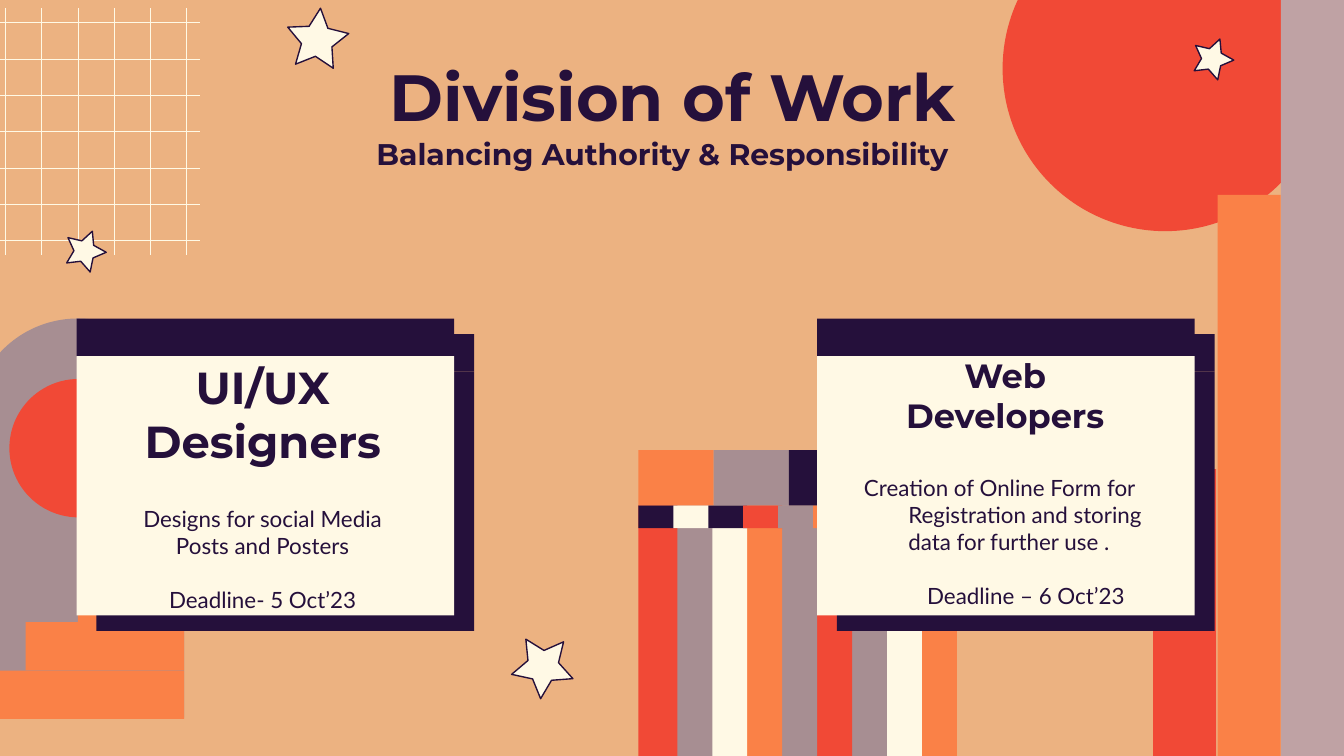
import math
from lxml import etree
from pptx import Presentation
from pptx import util as u
from pptx.dml.color import RGBColor
from pptx.enum import shapes, text
from pptx.oxml.ns import qn

HUE = {"sand": "ECB281", "navy": "25103B", "cream": "FFF9E5", "red": "F14936",
       "orange": "FA8147", "mauve": "A78E92", "rose": "BFA2A4"}
KIND = shapes.MSO_SHAPE
ALIGN = text.PP_ALIGN
ANCHOR = text.MSO_ANCHOR

deck = Presentation()
deck.slide_width, deck.slide_height = u.Inches(10), u.Inches(5.625)
CELL = deck.slide_width / 10  # square grid, ten columns across
slide = deck.slides.add_slide(deck.slide_layouts[5])
slide.background.fill.solid()
slide.background.fill.fore_color.rgb = RGBColor.from_string(HUE["sand"])
art = slide.shapes


def block(x, y, w, h, hue, kind=KIND.RECTANGLE):
    """Add a flat shape without outline; lengths are in grid cells."""
    shape = art.add_shape(kind, *(round(n * CELL) for n in (x, y, w, h)))
    shape.shadow.inherit = False
    shape.fill.solid()
    shape.fill.fore_color.rgb = RGBColor.from_string(HUE[hue])
    shape.line.fill.background()
    return shape


def write(words, x, y, w, h, size=12, font="Lato", bold=False, align=ALIGN.CENTER,
          anchor=ANCHOR.TOP, gap=0, hold=None):
    """Fill a text box, or the given placeholder, with one paragraph per item."""
    box = hold or art.add_textbox(0, 0, 0, 0)
    box.left, box.top, box.width, box.height = (round(n * CELL) for n in (x, y, w, h))
    frame = box.text_frame
    frame.word_wrap = True
    frame.auto_size = text.MSO_AUTO_SIZE.NONE
    frame.vertical_anchor = anchor
    frame.margin_left = frame.margin_right = u.Inches(0.1)
    frame.margin_top = frame.margin_bottom = u.Inches(0.1)
    frame.text = "\n".join(words)
    for i, para in enumerate(frame.paragraphs):
        para.alignment = align
        para.space_before = u.Pt(gap if i else 0)
        face = para.runs[0].font
        face.name, face.size, face.bold = font, u.Pt(size), bold
        face.color.rgb = RGBColor.from_string(HUE["navy"])
    return frame


# Striped columns, with the left stripe on top, then tiles and blocks above
LEFT, TOP, STEP, WIDE = 4.75, 3.76, 0.26, 0.29
bars = ["red", "mauve", "cream", "orange", "mauve", "red", "mauve", "cream", "orange"]
for i, hue in reversed(list(enumerate(bars))):
    block(LEFT + i * STEP, TOP, WIDE, 1.9, hue)
for i, hue in enumerate(["navy", "cream", "navy", "red", "mauve", "orange"]):
    block(LEFT + i * STEP, TOP, WIDE, 0.17, hue)
for i, hue in enumerate(["orange", "mauve", "navy"]):
    block(LEFT + i * 0.56, TOP - 0.41, 0.56, 0.41, hue)

# Sun, arch and stairs
block(7.46, -0.7, 2.42, 2.42, "red", KIND.OVAL)
arch = block(-0.21, 2.37, 1.58, 2.97, "mauve", KIND.ROUND_2_SAME_RECTANGLE)
arch.adjustments[0] = 0.5
block(0.07, 2.82, 1.03, 1.03, "red", KIND.OVAL)
for i in range(4):
    left = 0.97 - i * 0.39
    block(left, 3.91 + i * 0.36, 1.37 - left, 0.36, "orange")

# Towers at the right edge
for x, y, hue in [(9.53, 0, "rose"), (9.06, 1.45, "orange"), (8.58, 3.49, "red")]:
    block(x, y, 0.47, 5.64 - y, hue)

# Fine net in the corner
net = [(0.04 + i * 0.27, 0.06, 0.04 + i * 0.27, 1.9) for i in range(6)]
net += [(-0.33, 0.17 + i * 0.27, 1.49, 0.17 + i * 0.27) for i in range(7)]
for ends in net:
    wire = art.add_connector(shapes.MSO_CONNECTOR.STRAIGHT,
                             *(round(n * CELL) for n in ends))
    wire.line.width = u.Pt(0.36)
    wire.line.color.rgb = RGBColor.from_string(HUE["cream"])
    etree.SubElement(wire._element.spPr, qn("a:effectLst"))

# Stars: centre, radius and angle of the first tip
for x, y, size, turn in [(0.63, 1.87, 0.16, -69), (4.04, 4.96, 0.24, 94),
                         (9.02, 0.44, 0.16, -69), (2.36, 0.3, 0.24, -84)]:
    tips = []
    for i in range(10):
        reach = size / (1 + i % 2)
        angle = math.radians(turn + i * 36)
        tips.append((1000 * (x + reach * math.cos(angle)),
                     1000 * (y + reach * math.sin(angle))))
    path = art.build_freeform(*tips[0], scale=CELL / 1000)
    path.add_line_segments(tips[1:], close=True)
    star = path.convert_to_shape()
    star.shadow.inherit = False
    star.fill.solid()
    star.fill.fore_color.rgb = RGBColor.from_string(HUE["cream"])
    star.line.color.rgb = RGBColor.from_string(HUE["navy"])
    star.line.width = u.Pt(0.75)

# Cards with a hard shadow
for x in (6.08, 0.57):
    for y, h, hue in [(2.37, 0.28, "navy"), (2.65, 1.93, "cream")]:
        card = block(x, y, 2.81, h, hue)
        list_ = card._element.spPr.find(qn("a:effectLst"))
        cast = etree.SubElement(list_, qn("a:outerShdw"), blurRad="0",
                                dist=str(u.Pt(13.5)), dir=str(38 * 60000),
                                algn="bl", rotWithShape="0")
        etree.SubElement(cast, qn("a:srgbClr"), val=HUE["navy"])

# Words
head = dict(font="Montserrat", bold=True)
write(["Division of Work"], 0.79, 0.32, 8.43, 0.63, size=35, hold=art.title, **head)
write(["Balancing Authority & Responsibility"], 1.97, 0.91, 5.92, 0.45, size=16, **head)
write(["UI/UX Designers"], 0.96, 3, 1.99, 0.58, size=24, anchor=ANCHOR.BOTTOM, **head)
write(["Web Developers"], 6.51, 1.96, 1.94, 1.38, size=18, anchor=ANCHOR.BOTTOM, **head)
write(["Designs for social Media Posts and Posters", "Deadline- 5 Oct’23"],
      0.96, 3.66, 1.99, 0.8, gap=14.4)
task = write(["Creation of Online Form for Registration and storing data for further use .",
              "Deadline – 6 Oct’23"],
             6.16, 3.43, 2.69, 1.55, align=ALIGN.LEFT, gap=14.4)
for para, left, first in zip(task.paragraphs, (0.5, 0.64), (-0.33, 0)):
    props = para._p.get_or_add_pPr()
    props.set("marL", str(u.Inches(left)))
    props.set("indent", str(u.Inches(first)))

deck.save("out.pptx")
